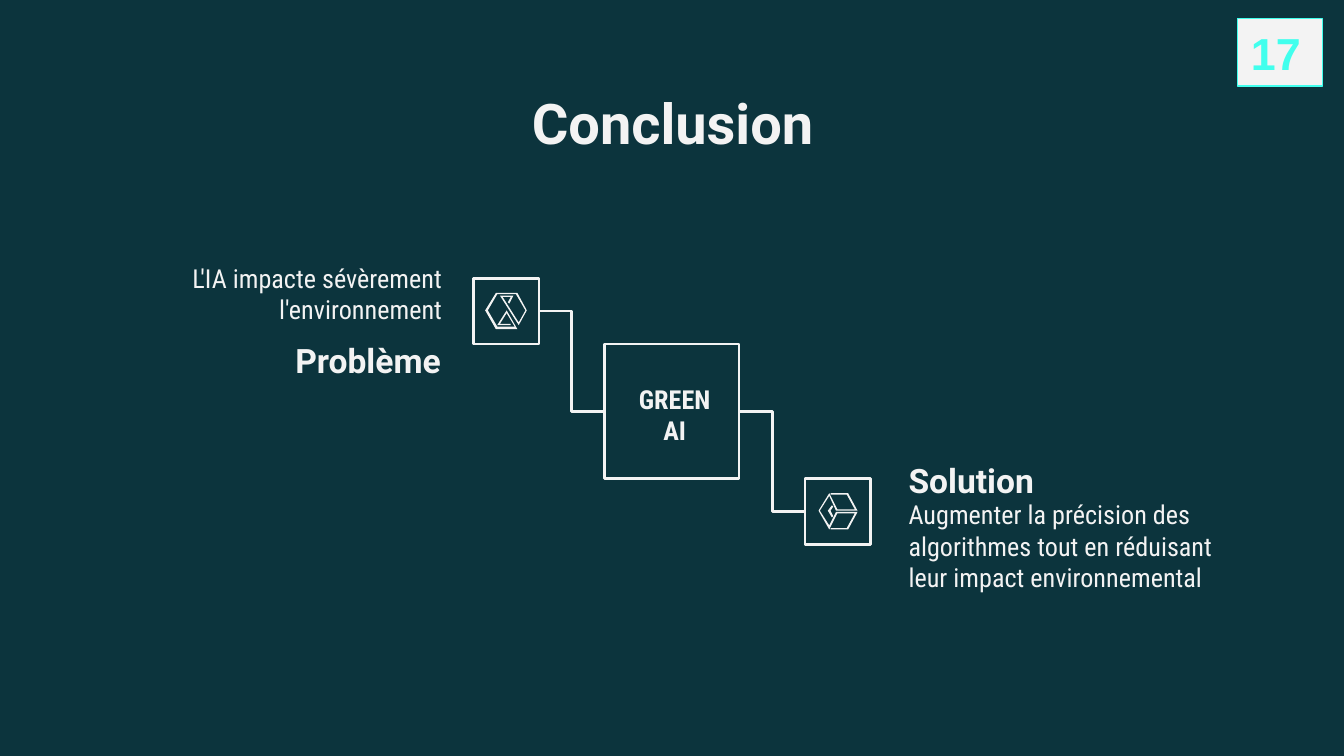
from lxml import etree
from pptx import Presentation
from pptx.dml.color import RGBColor
from pptx.enum.shapes import MSO_CONNECTOR as Connector, MSO_SHAPE as Shape
from pptx.enum.text import MSO_ANCHOR as Anchor, MSO_AUTO_SIZE as AutoSize, PP_ALIGN as Align
from pptx.oxml.ns import qn
from pptx.util import Inches, Pt

SLIDE_WIDTH = 10
BACKGROUND, LIGHT = "0C343D", "F3F3F3"
NUMBER_INK, NUMBER_LINE = "41FFED", "42FFEE"
HEADING, BODY = "Roboto", "Roboto Condensed"

# Icon outlines, in hundredths of an inch
CUBE = [(631, 367), (618, 367), (618, 368), (630, 368), (636, 379), (623, 379),
        (617, 367), (609, 380), (617, 394), (623, 382), (636, 382), (630, 393),
        (618, 393), (618, 394), (631, 394), (638, 381), (622, 381), (617, 391),
        (610, 380), (617, 369), (622, 380), (638, 380)]
CUBE_EDGE = [(619, 376), (616, 380), (619, 385), (620, 384), (618, 380), (620, 377)]
HOURGLASS = [(369, 218), (361, 231), (369, 245), (385, 245), (377, 231), (370, 242),
             (380, 242), (380, 241), (372, 241), (377, 233), (383, 243), (370, 243),
             (363, 231), (370, 219), (384, 219), (391, 231), (386, 240), (374, 221),
             (380, 221), (378, 225), (379, 226), (382, 220), (372, 220), (386, 242),
             (392, 231), (385, 218)]


def color(value):
    return RGBColor.from_string(value)


def place(shape, left, top, width, height):
    shape.left, shape.top = Inches(left), Inches(top)
    shape.width, shape.height = Inches(width), Inches(height)


def write(shape, text, font, size, bold=False, align=Align.LEFT,
          anchor=Anchor.TOP, after=0, ink=LIGHT, inset=0.1):
    """Fill a shape with one unbulleted paragraph."""
    frame = shape.text_frame
    frame.word_wrap = True
    frame.auto_size = AutoSize.NONE
    frame.vertical_anchor = anchor
    frame.margin_left = frame.margin_right = Inches(0.1)
    frame.margin_top = frame.margin_bottom = Inches(inset)
    frame.text = text
    para = frame.paragraphs[0]
    para.alignment = align
    para.line_spacing = 1.0
    para.space_before, para.space_after = Pt(0), Pt(after)
    properties = para._p.get_or_add_pPr()
    properties.set("marL", "0")
    properties.set("indent", "0")
    etree.SubElement(properties, qn("a:buNone"))
    para.font.name, para.font.size, para.font.bold = font, Pt(size), bold
    para.font.color.rgb = color(ink)


def add_box(slide, left, top, width, height, line=LIGHT, weight=1.5, fill=None):
    box = slide.shapes.add_shape(Shape.RECTANGLE, Inches(left), Inches(top),
                                 Inches(width), Inches(height))
    box.shadow.inherit = False
    if fill:
        box.fill.solid()
        box.fill.fore_color.rgb = color(fill)
    else:
        box.fill.background()
    box.line.color.rgb = color(line)
    box.line.width = Pt(weight)
    return box


def add_icon_part(slide, points):
    builder = slide.shapes.build_freeform(*points[0], scale=Inches(0.01))
    builder.add_line_segments(points[1:], close=True)
    icon = builder.convert_to_shape()
    icon.shadow.inherit = False
    icon.fill.solid()
    icon.fill.fore_color.rgb = color(LIGHT)
    icon.line.fill.background()


def join(slide, start, end):
    """Link the right side of one box to the left side of the next."""
    link = slide.shapes.add_connector(Connector.ELBOW, 0, 0, 0, 0)
    link.begin_connect(start, 3)
    link.end_connect(end, 1)
    link.line.color.rgb = color(LIGHT)
    link.line.width = Pt(1.5)
    etree.SubElement(link._element.spPr, qn("a:effectLst"))


def main():
    # Widescreen page, 16 to 9
    deck = Presentation()
    deck.slide_width = Inches(SLIDE_WIDTH)
    deck.slide_height = Inches(SLIDE_WIDTH * 9 / 16)
    slide = deck.slides.add_slide(deck.slide_layouts[4])
    slide.background.fill.solid()
    slide.background.fill.fore_color.rgb = color(BACKGROUND)

    # Title
    title = slide.shapes.title
    place(title, 0.79, 0.56, 8.43, 0.63)
    write(title, "Conclusion", HEADING, 30, True, Align.CENTER)

    # Problem and solution texts
    texts = [
        ((0.82, 1.85, 2.57, 0.49), "L'IA impacte sévèrement l'environnement",
         BODY, 14, False, Align.RIGHT, Anchor.TOP),
        ((0.94, 2.48, 2.44, 0.4), "Problème",
         HEADING, 18, True, Align.RIGHT, Anchor.MIDDLE),
        ((6.66, 3.32, 2.4, 0.4), "Solution",
         HEADING, 18, True, Align.LEFT, Anchor.TOP),
        ((6.66, 3.61, 2.75, 1.17),
         "Augmenter la précision des algorithmes tout en réduisant leur impact environnemental",
         BODY, 14, False, Align.LEFT, Anchor.TOP),
    ]
    for index, (position, *content) in enumerate(texts, start=1):
        holder = slide.placeholders[index]
        place(holder, *position)
        write(holder, *content, after=16)

    # Chain of boxes
    problem = add_box(slide, 3.52, 2.07, 0.49, 0.49)
    center = add_box(slide, 4.5, 2.56, 1, 1)
    solution = add_box(slide, 5.99, 3.56, 0.49, 0.49)
    join(slide, problem, center)
    join(slide, center, solution)
    label = slide.shapes.add_textbox(Inches(4.61), Inches(2.75), Inches(0.82), Inches(0.62))
    write(label, "GREEN AI", BODY, 14, True, Align.CENTER, after=16)

    # Icons
    for points in (HOURGLASS, CUBE, CUBE_EDGE):
        add_icon_part(slide, points)

    # Page number
    page = add_box(slide, 9.21, 0.14, 0.63, 0.5, line=NUMBER_LINE, weight=0.75, fill=LIGHT)
    write(page, "17", "Arial", 24, True, ink=NUMBER_INK, inset=0.05)

    deck.save("out.pptx")


if __name__ == "__main__":
    main()
